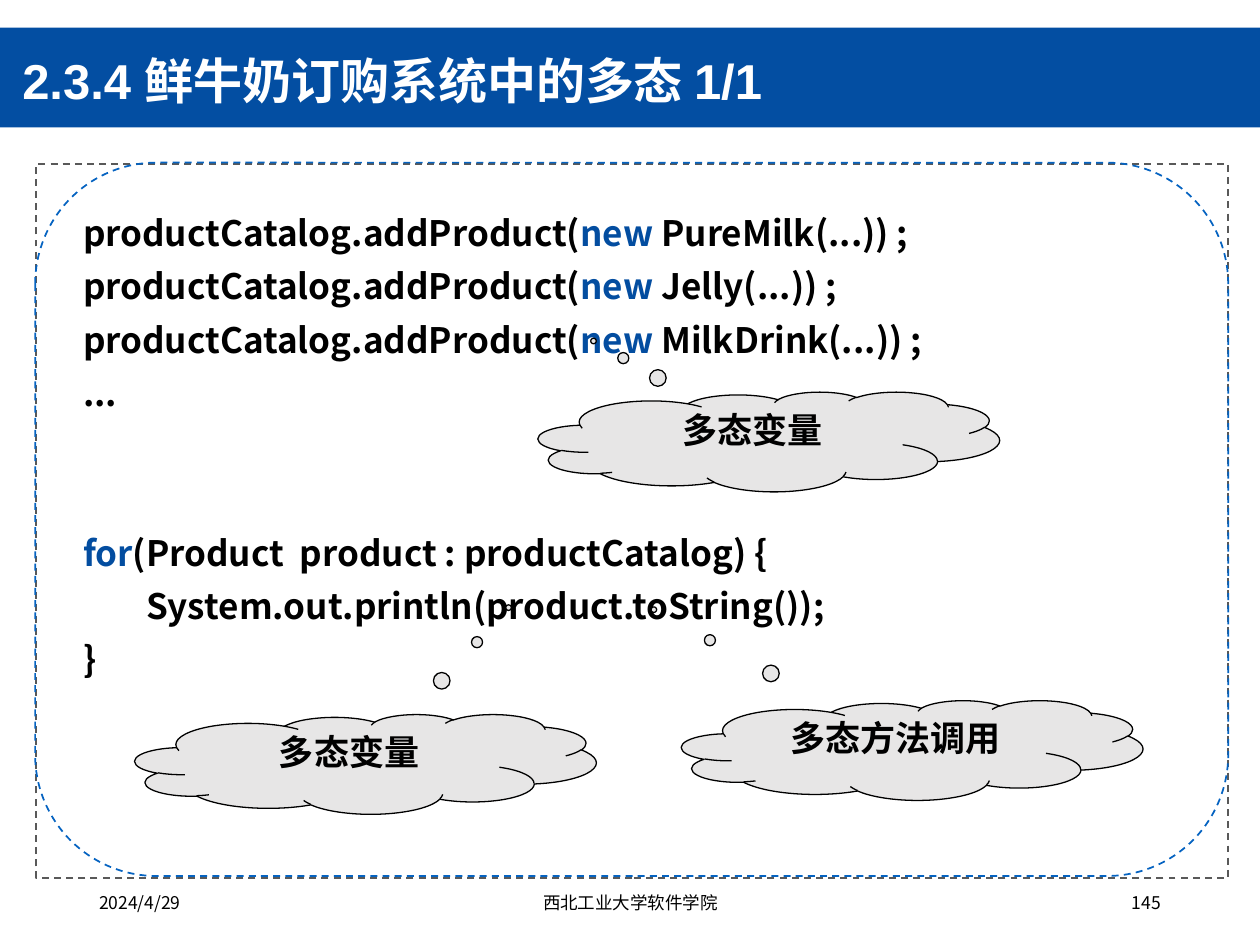
import pptx
import pptx.util
import pptx.dml.color
import pptx.enum.dml
import pptx.enum.shapes
import pptx.enum.text
import pptx.oxml.ns
from lxml import etree

Cm, Pt = pptx.util.Cm, pptx.util.Pt
RGBColor = pptx.dml.color.RGBColor
SHAPE = pptx.enum.shapes.MSO_SHAPE
ALIGN = pptx.enum.text.PP_ALIGN
ANCHOR = pptx.enum.text.MSO_ANCHOR

# Colours and fonts
BLUE = RGBColor(0x03, 0x4E, 0xA2)
KEYWORD = RGBColor(0x03, 0x4D, 0xA0)
OUTLINE = RGBColor(0x05, 0x63, 0xC1)
GREY = RGBColor(0x59, 0x59, 0x59)
CLOUD = RGBColor(0xE7, 0xE6, 0xE6)
BLACK = RGBColor(0, 0, 0)
WHITE = RGBColor(0xFF, 0xFF, 0xFF)
SANS = "Noto Sans CJK SC"

# Content
TITLE = "2.3.4 鲜牛奶订购系统中的多态 1/1"
ADD = ("productCatalog.addProduct(", BLACK)
NEW = ("new ", KEYWORD)
# runs, space before (pt), first-line indent (cm)
CODE = [
    ([ADD, NEW, ("PureMilk(...)) ;", BLACK)], 0, 0),
    ([ADD, NEW, ("Jelly(...)) ;", BLACK)], 4, 0),
    ([ADD, NEW, ("MilkDrink(...)) ;", BLACK)], 4, 0),
    ([("...", BLACK)], 4, 0),
    ([("for", KEYWORD), ("(Product  product : productCatalog) {", BLACK)], 65, 0),
    ([("System.out.println(product.toString());", BLACK)], 4, 1.27),
    ([("}", BLACK)], 4, 0),
]
# text, left, top, pointer offset as a share of the size
CLOUDS = [
    ("多态变量", 10.85, 7.9, (-0.38, -1.01)),
    ("多态方法调用", 13.74, 14.12, (-0.56, -1.41)),
    ("多态变量", 2.72, 14.4, (0.31, -1.57)),
]
CLOUD_SIZE = (9.3, 2.01)
# text, left, width, alignment
FOOTERS = [
    ("2024/4/29", 1.75, 5.72, ALIGN.LEFT),
    ("西北工业大学软件学院", 8.41, 8.59, ALIGN.CENTER),
    ("145", 17.93, 5.72, ALIGN.RIGHT),
]

prs = pptx.Presentation()
prs.slide_width, prs.slide_height = Cm(25.4), Cm(19.05)
s = prs.slides.add_slide(prs.slide_layouts[6])


def add_shape(kind, box, fill=None, line=None, width=1, dashed=False):
    sp = s.shapes.add_shape(kind, *map(Cm, box))
    sp.shadow.inherit = False
    if fill is None:
        sp.fill.background()
    else:
        sp.fill.solid()
        sp.fill.fore_color.rgb = fill
    if line is None:
        sp.line.fill.background()
    else:
        sp.line.color.rgb = line
        sp.line.width = Pt(width)
        if dashed:
            sp.line.dash_style = pptx.enum.dml.MSO_LINE.DASH
    return sp


def add_run(p, text, size, color, bold=False, font=SANS):
    r = p.add_run()
    r.text = text
    r.font.size, r.font.bold, r.font.name = Pt(size), bold, font
    r.font.color.rgb = color
    ea = etree.SubElement(r.font._element, pptx.oxml.ns.qn("a:ea"))
    ea.set("typeface", SANS)


def set_frame(sp, anchor=ANCHOR.TOP):
    tf = sp.text_frame
    tf.word_wrap = True
    tf.vertical_anchor = anchor
    return tf


# Title band and content frame
add_shape(SHAPE.RECTANGLE, (0, 0.56, 25.4, 2.01), fill=BLUE)
add_shape(SHAPE.RECTANGLE, (0.73, 3.3, 24.03, 14.4), line=GREY, dashed=True)

# Title
sp = s.shapes.add_textbox(Cm(0.2), Cm(0.84), Cm(18.67), Cm(1.68))
p = set_frame(sp, ANCHOR.MIDDLE).paragraphs[0]
p.line_spacing = 0.9
add_run(p, TITLE, 28, WHITE, True, "Arial")

# Footer
for text, left, width, align in FOOTERS:
    sp = s.shapes.add_textbox(Cm(left), Cm(17.86), Cm(width), Cm(1.02))
    p = set_frame(sp).paragraphs[0]
    p.alignment = align
    add_run(p, text, 10, BLACK)

# Code panel
sp = add_shape(SHAPE.ROUNDED_RECTANGLE, (0.71, 3.28, 24.05, 14.38),
               line=OUTLINE, dashed=True)
sp.adjustments[0] = 0.17
tf = set_frame(sp)
tf.margin_top = Cm(0.19)
for i, (runs, before, indent) in enumerate(CODE):
    p = tf.add_paragraph() if i else tf.paragraphs[0]
    p.alignment = ALIGN.LEFT
    p.line_spacing = 1.1
    if before:
        p.space_before = Pt(before)
    if indent:
        p._p.get_or_add_pPr().set("indent", str(Cm(indent)))
    for text, color in runs:
        add_run(p, text, 20, color, True)

# Cloud callouts
for text, left, top, pointer in CLOUDS:
    sp = add_shape(SHAPE.CLOUD_CALLOUT, (left, top, *CLOUD_SIZE),
                   fill=CLOUD, line=BLACK, width=0.75)
    sp.adjustments[0], sp.adjustments[1] = pointer
    p = set_frame(sp).paragraphs[0]
    p.alignment = ALIGN.CENTER
    p.line_spacing = 0.9
    add_run(p, text, 20, BLACK, True)

prs.save("out.pptx")
